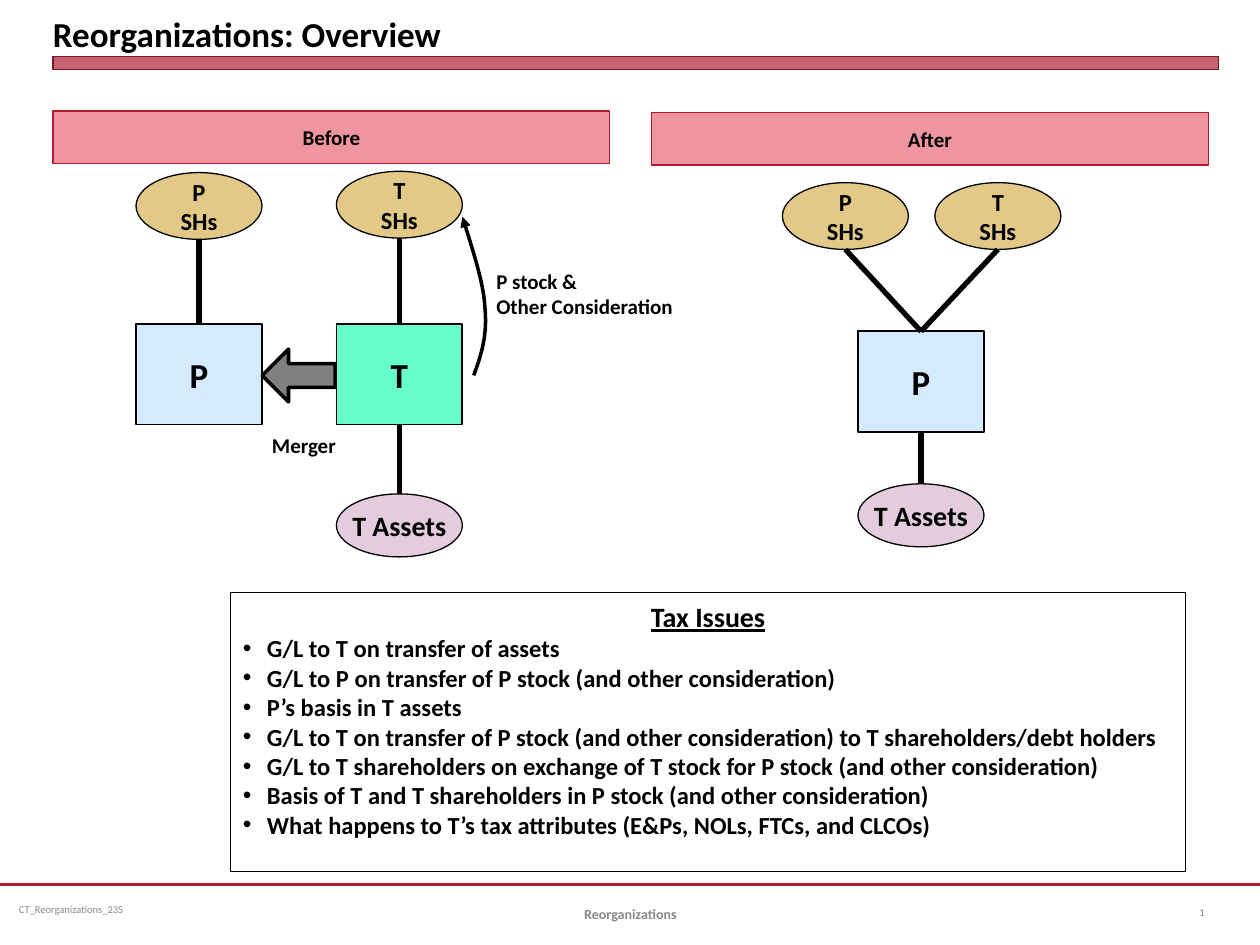
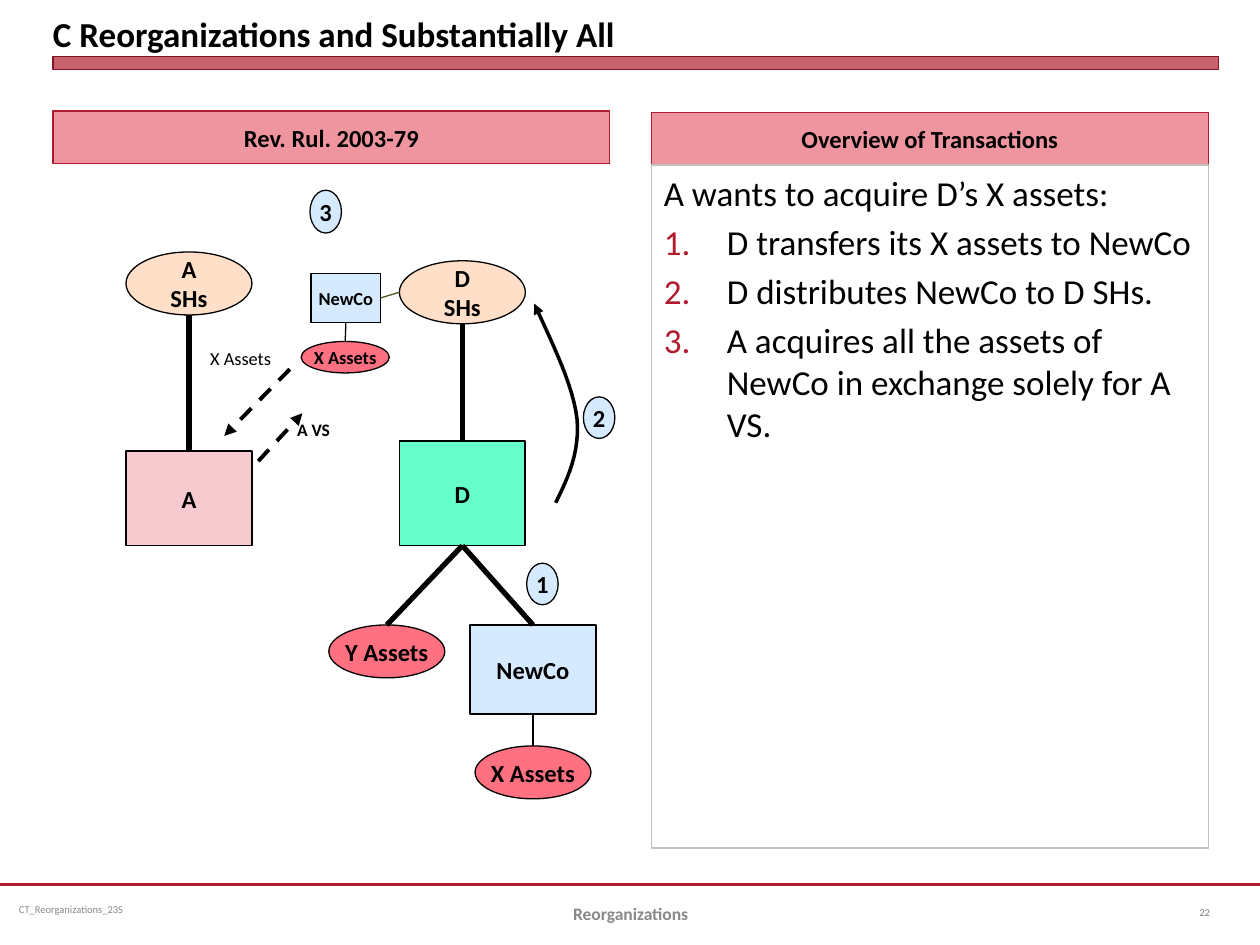
from pptx import Presentation
from pptx.dml.color import RGBColor
from pptx.enum.dml import MSO_LINE
from pptx.enum.shapes import MSO_CONNECTOR, MSO_SHAPE
from pptx.enum.text import MSO_ANCHOR, PP_ALIGN
from pptx.oxml.ns import qn
from pptx.util import Inches, Pt
from lxml.etree import SubElement

BLACK = RGBColor(0x00, 0x00, 0x00)
WHITE = RGBColor(0xFF, 0xFF, 0xFF)
CRIMSON = RGBColor(0xB0, 0x1C, 0x2E)
DARK_RED = RGBColor(0x82, 0x15, 0x22)
ROSE = RGBColor(0xEE, 0x95, 0xA0)
GRAY = RGBColor(0x80, 0x80, 0x80)
FOOTER_GRAY = RGBColor(0x89, 0x89, 0x89)
SILVER = RGBColor(0xC0, 0xC0, 0xC0)
OLIVE = RGBColor(0x48, 0x5A, 0x23)
GOLD = RGBColor(0xE3, 0xC9, 0x88)
PEACH = RGBColor(0xFF, 0xDF, 0xC8)
MINT = RGBColor(0x66, 0xFF, 0xCC)
SKY = RGBColor(0xD6, 0xEA, 0xFF)
PINK = RGBColor(0xF7, 0xCA, 0xD0)
LILAC = RGBColor(0xE3, 0xCC, 0xDD)
CORAL = RGBColor(0xFF, 0x70, 0x81)

FONT = "Calibri"
RECT, OVAL = MSO_SHAPE.RECTANGLE, MSO_SHAPE.OVAL
TOP, LEFT, BOTTOM, RIGHT = range(4)

OVERVIEW = {
    "title": "Reorganizations: Overview", "page": "1", "footer_size": 8,
    "headers": ("Before", "After"), "header_size": 12,
    "nodes": {
        "P SHs before": ("P\nSHs", OVAL, GOLD, 14, (1.08, 1.37, 1, 0.53)),
        "T SHs before": ("T\nSHs", OVAL, GOLD, 14, (2.67, 1.36, 1, 0.53)),
        "P before": ("P", RECT, SKY, 20, (1.08, 2.57, 1, 0.8)),
        "T": ("T", RECT, MINT, 20, (2.67, 2.57, 1, 0.8)),
        "T Assets before": ("T Assets", OVAL, LILAC, 16, (2.67, 3.92, 1, 0.5)),
        "P SHs after": ("P\nSHs", OVAL, GOLD, 14, (6.21, 1.45, 1, 0.53)),
        "T SHs after": ("T\nSHs", OVAL, GOLD, 14, (7.42, 1.45, 1, 0.53)),
        "P after": ("P", RECT, SKY, 20, (6.81, 2.63, 1, 0.8)),
        "T Assets after": ("T Assets", OVAL, LILAC, 16, (6.81, 3.84, 1, 0.5)),
    },
    "links": [
        ("P SHs before", BOTTOM, "P before", TOP, 3, BLACK),
        ("T SHs before", BOTTOM, "T", TOP, 3, BLACK),
        ("T", BOTTOM, "T Assets before", TOP, 3, BLACK),
        ("P SHs after", BOTTOM, "P after", TOP, 3, BLACK),
        ("T SHs after", BOTTOM, "P after", TOP, 3, BLACK),
        ("P after", BOTTOM, "T Assets after", TOP, 3, BLACK),
    ],
    "curve": [(3.76, 2.98), (3.82, 2.82), (3.87, 2.66), (3.85, 2.45),
              (3.84, 2.24), (3.75, 1.98), (3.67, 1.72)],
    "labels": [
        ("Merger", 12, True, (2.06, 3.38, 0.71, 0.3)),
        ("P stock &\nOther Consideration", 12, True, (3.84, 2.08, 1.62, 0.5)),
    ],
}
TAX_HEADING = "Tax Issues"
TAX_ISSUES = [
    "G/L to T on transfer of assets",
    "G/L to P on transfer of P stock (and other consideration)",
    "P’s basis in T assets",
    "G/L to T on transfer of P stock (and other consideration) to T shareholders/debt holders",
    "G/L to T shareholders on exchange of T stock for P stock (and other consideration)",
    "Basis of T and T shareholders in P stock (and other consideration)",
    "What happens to T’s tax attributes (E&Ps, NOLs, FTCs, and CLCOs)",
]

C_REORG = {
    "title": "C Reorganizations and Substantially All", "page": "22", "footer_size": 10,
    "headers": ("Rev. Rul. 2003-79", "Overview of Transactions"), "header_size": 14,
    "nodes": {
        "A SHs": ("A\nSHs", OVAL, PEACH, 14, (1, 2, 1, 0.5)),
        "D SHs": ("D\nSHs", OVAL, PEACH, 14, (3.17, 2.07, 1, 0.5)),
        "A": ("A", RECT, PINK, 14, (1, 3.58, 1, 0.75)),
        "D": ("D", RECT, MINT, 14, (3.17, 3.5, 1, 0.83)),
        "Y Assets": ("Y Assets", OVAL, CORAL, 14, (2.61, 4.96, 0.92, 0.42)),
        "NewCo": ("NewCo", RECT, SKY, 14, (3.73, 4.96, 1, 0.71)),
        "X Assets": ("X Assets", OVAL, CORAL, 14, (3.77, 5.92, 0.92, 0.42)),
        "spun NewCo": ("NewCo", RECT, SKY, 10.5, (2.47, 2.17, 0.55, 0.39)),
        "spun X Assets": ("X Assets", OVAL, CORAL, 10.5, (2.39, 2.71, 0.7, 0.25)),
        "step 1": ("1", OVAL, SKY, 14, (4.18, 4.47, 0.25, 0.33)),
        "step 2": ("2", OVAL, SKY, 14, (4.63, 3.15, 0.25, 0.33)),
        "step 3": ("3", OVAL, SKY, 14, (2.46, 1.51, 0.25, 0.34)),
    },
    "links": [
        ("A SHs", BOTTOM, "A", TOP, 3, BLACK),
        ("D SHs", BOTTOM, "D", TOP, 3, BLACK),
        ("D", BOTTOM, "Y Assets", TOP, 3, BLACK),
        ("D", BOTTOM, "NewCo", TOP, 3, BLACK),
        ("NewCo", BOTTOM, "X Assets", TOP, 0.75, BLACK),
        ("spun NewCo", BOTTOM, "spun X Assets", TOP, 0.75, BLACK),
        ("spun NewCo", RIGHT, "D SHs", LEFT, 0.75, OLIVE),
    ],
    "curve": [(4.41, 3.99), (4.51, 3.79), (4.6, 3.59), (4.58, 3.33),
              (4.55, 3.06), (4.39, 2.74), (4.24, 2.41)],
    "labels": [
        ("X Assets", 10.5, False, (1.57, 2.71, 0.69, 0.28)),
        ("A VS", 10, True, (2.26, 3.28, 0.47, 0.27)),
    ],
}
EXCHANGES = [((2.05, 3.66), (2.4, 3.28)), ((2.3, 2.93), (1.78, 3.46))]
STEPS_INTRO = "A wants to acquire D’s X assets:"
STEPS = [
    "D transfers its X assets to NewCo",
    "D distributes NewCo to D SHs.",
    "A acquires all the assets of NewCo in exchange solely for A VS.",
]


def inches(values):
    return [Inches(v) for v in values]


def set_font(p, size, color=BLACK, bold=False, underline=None):
    for r in p.runs:
        font = r.font
        font.name, font.size, font.bold = FONT, Pt(size), bold
        font.underline = underline
        font.color.rgb = color


def write(sp, text, size, color=BLACK, bold=False, align=PP_ALIGN.LEFT,
          anchor=MSO_ANCHOR.MIDDLE, wrap=True):
    tf = sp.text_frame
    tf.text = text
    tf.word_wrap, tf.vertical_anchor = wrap, anchor
    for p in tf.paragraphs:
        p.alignment = align
        set_font(p, size, color, bold)
    return tf


def add_text(s, text, size, box, **style):
    return write(s.shapes.add_textbox(*inches(box)), text, size, **style)


def add_box(s, kind, box, fill, line, width):
    sp = s.shapes.add_shape(kind, *inches(box))
    sp.shadow.inherit = False
    sp.fill.solid()
    sp.fill.fore_color.rgb = fill
    sp.line.color.rgb = line
    sp.line.width = Pt(width)
    return sp


def add_line(s, start, end, width, color=BLACK):
    cx = s.shapes.add_connector(MSO_CONNECTOR.STRAIGHT, *inches(start + end))
    cx.line.color.rgb = color
    cx.line.width = Pt(width)
    SubElement(cx._element.spPr, qn("a:effectLst"))
    return cx


def add_arrowhead(sp):
    SubElement(sp.line._get_or_add_ln(), qn("a:tailEnd"), type="triangle")


def side_point(box, side):
    x, y, w, h = box
    return {TOP: (x + w / 2, y), LEFT: (x, y + h / 2),
            BOTTOM: (x + w / 2, y + h), RIGHT: (x + w, y + h / 2)}[side]


def bezier(a, b, c, d, t):
    u = 1 - t
    return u**3 * a + 3 * u * u * t * b + 3 * u * t * t * c + t**3 * d


def add_curve(s, points, steps=12):
    outline = []
    for k in (0, 3):
        xs, ys = zip(*points[k:k + 4])
        for n in range(steps + 1):
            t = n / steps
            outline.append(inches((bezier(*xs, t), bezier(*ys, t))))
    builder = s.shapes.build_freeform(*outline[0])
    builder.add_line_segments(outline[1:], close=False)
    sp = builder.convert_to_shape()
    sp.shadow.inherit = False
    sp.fill.background()
    sp.line.color.rgb = BLACK
    sp.line.width = Pt(2)
    add_arrowhead(sp)


def add_bullet(p, indent, tag, color=None, **attrs):
    pPr = p._p.get_or_add_pPr()
    pPr.set("marL", str(Inches(indent)))
    pPr.set("indent", str(-Inches(indent)))
    if color is not None:
        SubElement(SubElement(pPr, qn("a:buClr")), qn("a:srgbClr"), val=str(color))
    SubElement(pPr, qn("a:buFont"), typeface="Arial" if tag == "a:buChar" else FONT)
    SubElement(pPr, qn(tag), **attrs)


def add_frame(prs, content):
    s = prs.slides.add_slide(prs.slide_layouts[5])
    title = s.shapes.title
    title.left, title.top, title.width, title.height = inches((0.42, 0, 9.25, 0.43))
    tf = write(title, content["title"], 20, bold=True, anchor=MSO_ANCHOR.BOTTOM)
    tf.margin_left = tf.margin_right = tf.margin_top = tf.margin_bottom = 0

    band = add_box(s, RECT, (0.42, 0.45, 9.25, 0.1), CRIMSON, DARK_RED, 0)
    SubElement(band._element.spPr.find(qn("a:solidFill"))[0], qn("a:alpha"), val="69000")
    add_line(s, (0, 7.02), (10, 7.02), 1.25, CRIMSON)
    tf = add_text(s, "CT_Reorganizations_23S", 6, (0.08, 7.02, 2.58, 0.4), color=FOOTER_GRAY)
    tf.margin_left = tf.margin_right = Inches(0.07)
    tf.margin_top = tf.margin_bottom = Inches(0.04)
    add_text(s, "Reorganizations", content["footer_size"], (3.42, 7.05, 3.17, 0.4),
             color=FOOTER_GRAY, bold=True, align=PP_ALIGN.CENTER)
    add_text(s, content["page"], 6, (9.42, 7.04, 0.5, 0.4), color=GRAY)

    for text, (x, y) in zip(content["headers"], ((0.42, 0.88), (5.17, 0.89))):
        sp = add_box(s, RECT, (x, y, 4.42, 0.42), ROSE, CRIMSON, 0.75)
        write(sp, text, content["header_size"], bold=True, align=PP_ALIGN.CENTER)
    return s


def add_diagram(s, content):
    nodes, shapes = content["nodes"], {}
    for name, (text, kind, fill, size, box) in nodes.items():
        sp = add_box(s, kind, box, fill, BLACK, 1 if kind == RECT else 0.75)
        write(sp, text, size, bold=True, align=PP_ALIGN.CENTER, wrap=False)
        shapes[name] = sp
    for start, side, end, end_side, width, color in content["links"]:
        cx = add_line(s, side_point(nodes[start][4], side),
                      side_point(nodes[end][4], end_side), width, color)
        if nodes[start][1] == RECT:
            cx.begin_connect(shapes[start], side)
        if nodes[end][1] == RECT or end_side == TOP:
            cx.end_connect(shapes[end], end_side)
    add_curve(s, content["curve"])
    for text, size, bold, box in content["labels"]:
        add_text(s, text, size, box, bold=bold, anchor=MSO_ANCHOR.TOP, wrap=False)


def build_overview(prs):
    s = add_frame(prs, OVERVIEW)
    add_diagram(s, OVERVIEW)
    merger = add_box(s, MSO_SHAPE.LEFT_ARROW, (2.08, 2.77, 0.58, 0.42), GRAY, BLACK, 2)
    merger.adjustments[0], merger.adjustments[1] = 0.45, 0.5

    sp = add_box(s, RECT, (1.83, 4.7, 7.58, 2.22), WHITE, BLACK, 0.5)
    tf = write(sp, "\n".join([TAX_HEADING] + TAX_ISSUES), 14, bold=True)
    tf.margin_bottom = Inches(0.25)
    heading, *issues = tf.paragraphs
    heading.alignment = PP_ALIGN.CENTER
    set_font(heading, 16, bold=True, underline=True)
    for p in issues:
        add_bullet(p, 0.19, "a:buChar", char="•")


def build_c_reorg(prs):
    s = add_frame(prs, C_REORG)
    add_diagram(s, C_REORG)
    for start, end in EXCHANGES:
        cx = add_line(s, start, end, 2.25)
        cx.line.dash_style = MSO_LINE.DASH
        add_arrowhead(cx)

    sp = add_box(s, RECT, (5.17, 1.31, 4.42, 5.42), WHITE, SILVER, 0.75)
    tf = write(sp, "\n".join([STEPS_INTRO] + STEPS), 20, anchor=MSO_ANCHOR.TOP)
    for p in tf.paragraphs[1:]:
        p.space_before = Pt(4)
        add_bullet(p, 0.5, "a:buAutoNum", CRIMSON, type="arabicPeriod")


def main():
    prs = Presentation()
    prs.slide_width, prs.slide_height = Inches(10), Inches(7.5)
    build_overview(prs)
    build_c_reorg(prs)
    prs.save("out.pptx")


if __name__ == "__main__":
    main()
